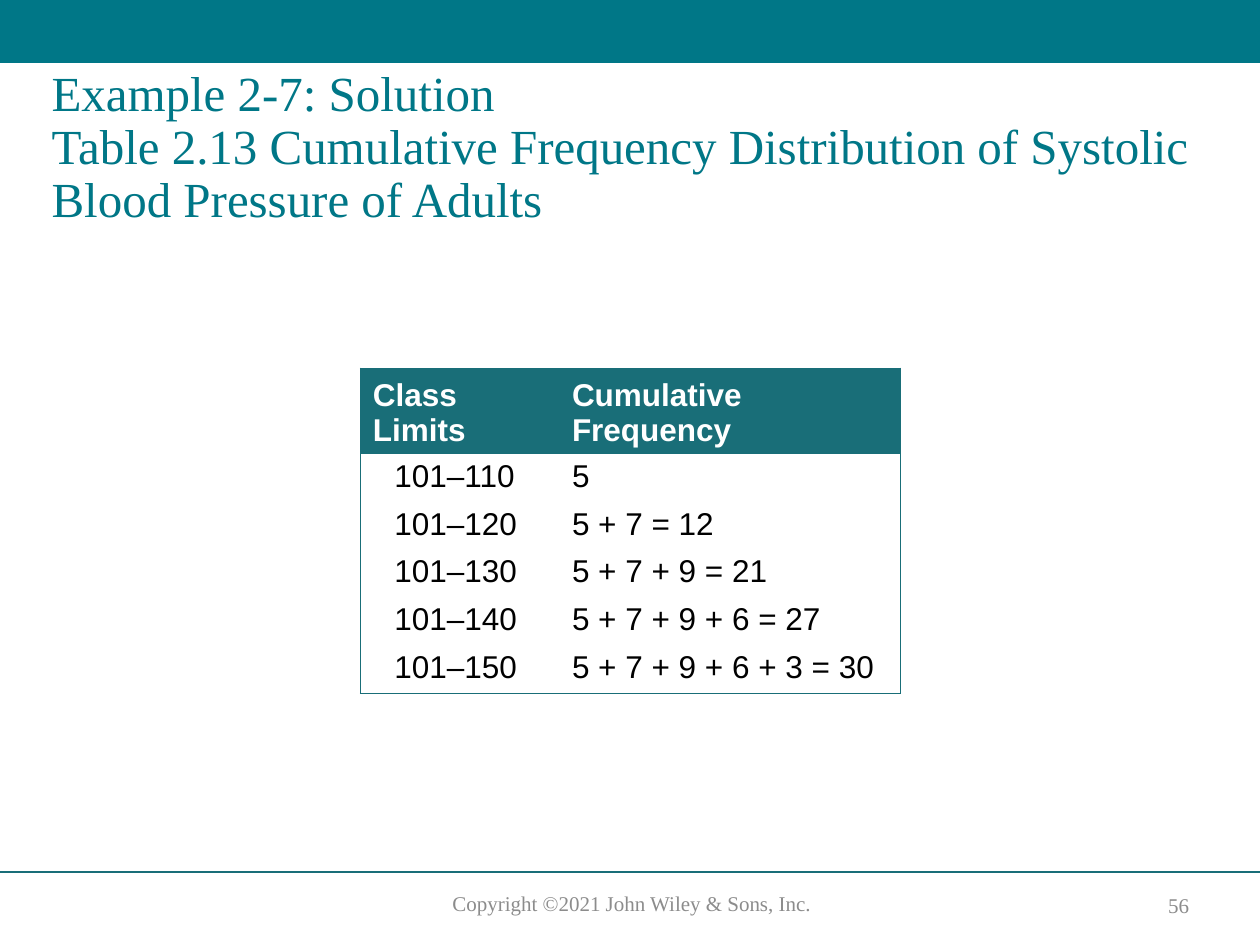
import pptx
import pptx.util
import pptx.dml.color
import pptx.enum.shapes
import pptx.enum.text
import pptx.oxml.ns
import lxml.etree

Inches, Pt = pptx.util.Inches, pptx.util.Pt
PP_ALIGN, ANCHOR = pptx.enum.text.PP_ALIGN, pptx.enum.text.MSO_ANCHOR
qn = pptx.oxml.ns.qn
COLORS = {"teal": "007787", "border": "196E78", "gray": "8C8C8C",
          "white": "FFFFFF", "black": "000000"}


def rgb(name):
    return pptx.dml.color.RGBColor.from_string(COLORS[name])


def style(p, font, size, color, bold=False):
    for r in p.runs:
        r.font.name, r.font.size, r.font.bold = font, Pt(size), bold
        r.font.color.rgb = rgb(color)


prs = pptx.Presentation()
prs.slide_width, prs.slide_height = Inches(10), Inches(7.5)
W, H = prs.slide_width, prs.slide_height
s = prs.slides.add_slide(prs.slide_layouts[5])

# Top band
sp = s.shapes.add_shape(pptx.enum.shapes.MSO_SHAPE.RECTANGLE, 0, 0, W, H // 15)
sp.shadow.inherit = False
sp.fill.solid()
sp.fill.fore_color.rgb = rgb("teal")
sp.line.fill.background()

# Footer rule
rule_y = Inches(6.92)
line = s.shapes.add_connector(pptx.enum.shapes.MSO_CONNECTOR.STRAIGHT, 0, rule_y, W, rule_y)
line.line.color.rgb = rgb("border")
line.line.width = Pt(1)
lxml.etree.SubElement(line._element.spPr, qn("a:effectLst"))

# Footer texts
for text, box, anchor in (
        ("Copyright ©2021 John Wiley & Sons, Inc.", (3.22, 7.02, 3.59, 0.3), ANCHOR.TOP),
        ("56", (9.05, 7.04, 0.61, 0.28), ANCHOR.MIDDLE)):
    tf = s.shapes.add_textbox(*map(Inches, box)).text_frame
    tf.word_wrap = True
    tf.vertical_anchor = anchor
    tf.text = text
    tf.paragraphs[0].alignment = PP_ALIGN.CENTER
    style(tf.paragraphs[0], "Times New Roman", 12, "gray")

# Title
title = s.shapes.title
title.left, title.top, title.width, title.height = map(Inches, (0.31, 0.5, 9.33, 1.25))
tf = title.text_frame
tf.text = ("Example 2-7: Solution\v"
           "Table 2.13 Cumulative Frequency Distribution of Systolic Blood Pressure of Adults")
tf.vertical_anchor = ANCHOR.TOP
tf.auto_size = pptx.enum.text.MSO_AUTO_SIZE.NONE
p = tf.paragraphs[0]
p.alignment = PP_ALIGN.LEFT
p.line_spacing = 0.9
style(p, "Times New Roman", 28, "teal")

# Cumulative frequency table
rows = [("Class Limits", "Cumulative Frequency"),
        ("101–110", "5"),
        ("101–120", "5 + 7 = 12"),
        ("101–130", "5 + 7 + 9 = 21"),
        ("101–140", "5 + 7 + 9 + 6 = 27"),
        ("101–150", "5 + 7 + 9 + 6 + 3 = 30")]
col_widths = (1.58, 2.71)
header_h, row_h = 0.66, 0.38
last = len(rows) - 1
table = s.shapes.add_table(len(rows), 2, Inches(2.86), Inches(2.92), Inches(sum(col_widths)),
                           Inches(header_h + last * row_h)).table
table.horz_banding = False
for col, width in zip(table.columns, col_widths):
    col.width = Inches(width)

for i, row in enumerate(rows):
    header = i == 0
    table.rows[i].height = Inches(header_h if header else row_h)
    for j, text in enumerate(row):
        cell = table.cell(i, j)
        cell.text = text
        cell.margin_top = cell.margin_bottom = Inches(0.04)
        cell.vertical_anchor = ANCHOR.BOTTOM if header else ANCHOR.TOP
        p = cell.text_frame.paragraphs[0]
        if not header and j == 0:
            p._p.get_or_add_pPr().set("marL", str(Inches(0.17)))
        style(p, "Arial", 18, "white" if header else "black", header)

        # Only the outer edges of the table are ruled
        tcPr = cell._tc.get_or_add_tcPr()
        for side, outer in (("L", j == 0), ("R", j == 1), ("T", header), ("B", i == last)):
            ln = lxml.etree.SubElement(tcPr, qn("a:ln" + side), w=str(Pt(0.5)))
            if outer:
                fill = lxml.etree.SubElement(ln, qn("a:solidFill"))
                lxml.etree.SubElement(fill, qn("a:srgbClr"), val=COLORS["border"])
            else:
                lxml.etree.SubElement(ln, qn("a:noFill"))
        cell.fill.solid()
        cell.fill.fore_color.rgb = rgb("border" if header else "white")

prs.save("out.pptx")
